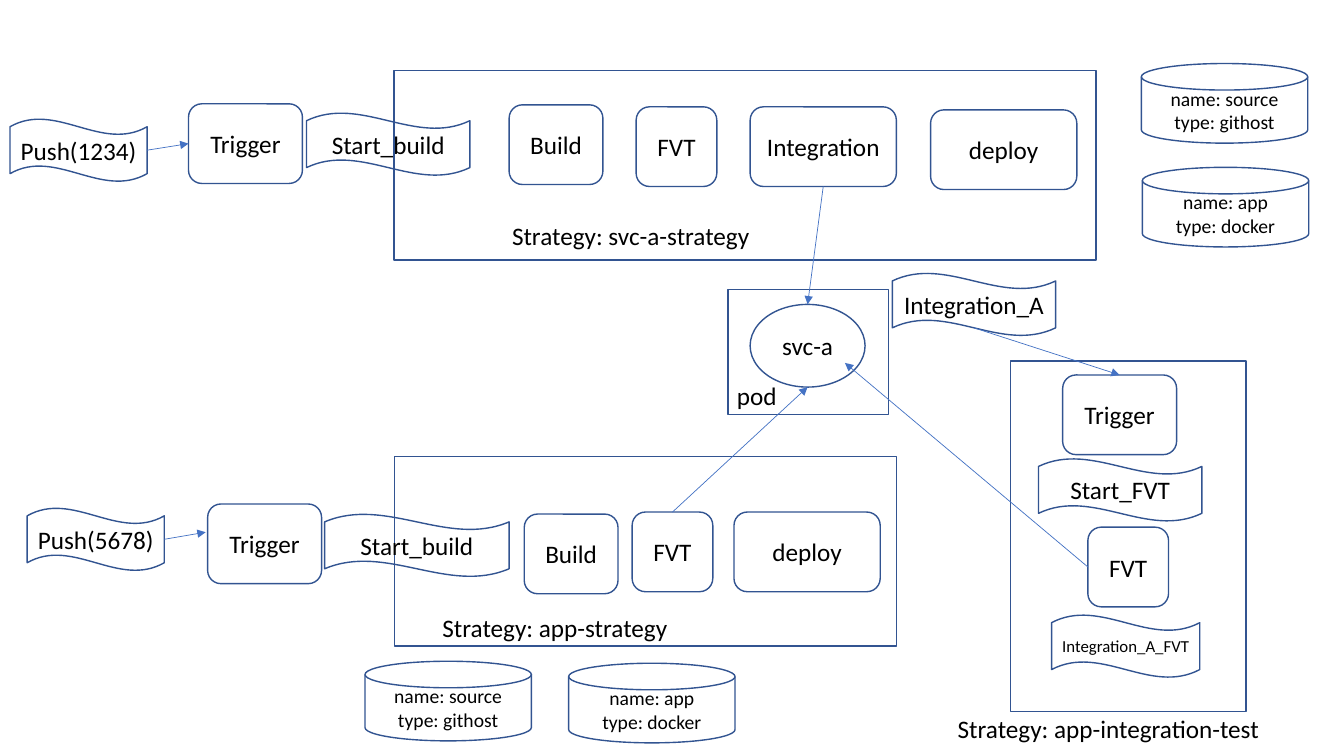
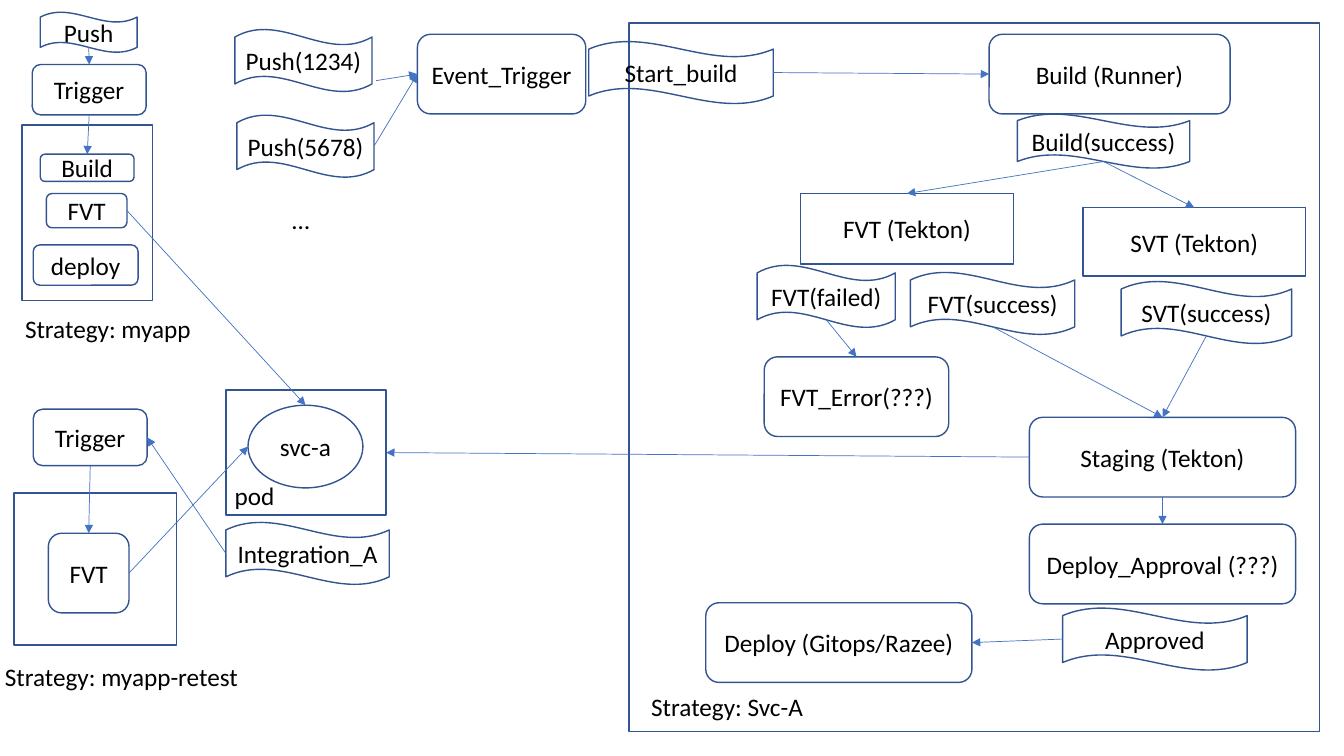
import dataclasses

import lxml.etree
import pptx
import pptx.dml.color
import pptx.enum.shapes
import pptx.enum.text
import pptx.oxml.ns
import pptx.util

Inches = pptx.util.Inches
Kind = pptx.enum.shapes.MSO_SHAPE


@dataclasses.dataclass(frozen=True)
class Theme:
    font: str = "Calibri"
    text: str = "000000"
    outline: str = "325491"
    arrow: str = "4472C4"
    body_size: float = 18
    store_size: float = 14
    small_size: float = 12
    outline_width: float = 1
    arrow_width: float = 0.5


class Diagram:
    """Draw pipeline elements in one style on the current slide."""

    sides = {"top": 0, "left": 1, "bottom": 2, "right": 3}

    def __init__(self, presentation, theme):
        self.presentation = presentation
        self.theme = theme
        self.slide = None

    def new_slide(self):
        layout = self.presentation.slide_layouts[6]
        self.slide = self.presentation.slides.add_slide(layout)

    def color(self, value):
        return pptx.dml.color.RGBColor.from_string(value)

    def add_text(self, paragraph, text, size):
        run = paragraph.add_run()
        run.text = text
        run.font.name = self.theme.font
        run.font.size = pptx.util.Pt(size)
        run.font.color.rgb = self.color(self.theme.text)

    def box(self, kind, left, top, width, height, lines=(), size=None):
        shape = self.slide.shapes.add_shape(
            kind, Inches(left), Inches(top), Inches(width), Inches(height))
        shape.shadow.inherit = False
        shape.fill.background()
        shape.line.color.rgb = self.color(self.theme.outline)
        shape.line.width = pptx.util.Pt(self.theme.outline_width)
        frame = shape.text_frame
        frame.margin_left = frame.margin_right = Inches(0.05)
        frame.vertical_anchor = pptx.enum.text.MSO_ANCHOR.MIDDLE
        for index, text in enumerate(lines):
            paragraph = frame.add_paragraph() if index else frame.paragraphs[0]
            paragraph.alignment = pptx.enum.text.PP_ALIGN.CENTER
            self.add_text(paragraph, text, size or self.theme.body_size)
        return shape

    def frame(self, left, top, width, height):
        return self.box(Kind.RECTANGLE, left, top, width, height)

    def step(self, text, left, top, width, height=0.79):
        return self.box(Kind.ROUNDED_RECTANGLE, left, top, width, height, [text])

    def task(self, text, left, top, width, height):
        return self.box(Kind.RECTANGLE, left, top, width, height, [text])

    def event(self, text, left, top, width, height=0.62, size=None):
        return self.box(Kind.WAVE, left, top, width, height, [text], size)

    def store(self, name, store_type, left, top):
        lines = [f"name: {name}", f"type: {store_type}"]
        return self.box(Kind.FLOWCHART_MAGNETIC_DISK, left, top, 1.65, 0.79,
                        lines, self.theme.store_size)

    def label(self, text, left, top, width):
        shape = self.slide.shapes.add_textbox(
            Inches(left), Inches(top), Inches(width), Inches(0.4))
        shape.text_frame.word_wrap = False
        shape.text_frame.auto_size = pptx.enum.text.MSO_AUTO_SIZE.SHAPE_TO_FIT_TEXT
        self.add_text(shape.text_frame.paragraphs[0], text, self.theme.body_size)

    def pod(self, left, top):
        frame = self.frame(left, top, 1.59, 1.24)
        service = self.box(Kind.OVAL, left + 0.22, top + 0.15, 1.14, 0.82, ["svc-a"])
        self.label("pod", left - 0.01, top + 0.85, 0.6)
        return frame, service

    def point(self, end):
        target, side = end
        if side not in self.sides:
            return Inches(target), Inches(side)
        wave = target.auto_shape_type == Kind.WAVE
        dip = int(target.height * 0.125) if wave else 0
        middle_x = target.left + target.width // 2
        middle_y = target.top + target.height // 2
        return {
            "top": (middle_x, target.top + dip),
            "left": (target.left, middle_y),
            "bottom": (middle_x, target.top + target.height - dip),
            "right": (target.left + target.width, middle_y),
        }[side]

    def glue(self, connect, end):
        target, side = end
        if side in self.sides and target.auto_shape_type != Kind.OVAL:
            connect(target, self.sides[side])

    def arrow(self, start, end):
        begin_point, end_point = self.point(start), self.point(end)
        connector = self.slide.shapes.add_connector(
            pptx.enum.shapes.MSO_CONNECTOR.STRAIGHT, *begin_point, *end_point)
        self.glue(connector.begin_connect, start)
        self.glue(connector.end_connect, end)
        connector.begin_x, connector.begin_y = begin_point
        connector.end_x, connector.end_y = end_point
        connector.line.color.rgb = self.color(self.theme.arrow)
        connector.line.width = pptx.util.Pt(self.theme.arrow_width)
        qn = pptx.oxml.ns.qn
        properties = connector._element.spPr
        lxml.etree.SubElement(
            properties.find(qn("a:ln")), qn("a:tailEnd"), type="triangle")
        lxml.etree.SubElement(properties, qn("a:effectLst"))


def build_strategies(diagram):
    diagram.new_slide()

    diagram.frame(3.91, 0.7, 6.96, 1.88)
    diagram.label("Strategy: svc-a-strategy", 4.98, 2.14, 2.58)
    push = diagram.event("Push(1234)", 0.1, 1.18, 1.36)
    trigger = diagram.step("Trigger", 1.87, 1.03, 1.13)
    diagram.event("Start_build", 3.04, 1.12, 1.62)
    diagram.step("Build", 5.05, 1.04, 0.93)
    diagram.step("FVT", 6.31, 1.06, 0.8)
    integration = diagram.step("Integration", 7.44, 1.06, 1.45)
    diagram.step("deploy", 9.23, 1.09, 1.45)
    diagram.store("source", "githost", 11.32, 0.63)
    diagram.store("app", "docker", 11.33, 1.66)

    diagram.frame(3.91, 4.53, 4.98, 1.88)
    diagram.label("Strategy: app-strategy", 4.29, 6.03, 2.46)
    app_push = diagram.event("Push(5678)", 0.27, 5.04, 1.36)
    diagram.step("Trigger", 2.06, 5, 1.13)
    diagram.event("Start_build", 3.22, 5.1, 1.83)
    diagram.step("Build", 5.2, 5.1, 0.93)
    app_fvt = diagram.step("FVT", 6.27, 5.08, 0.8)
    diagram.step("deploy", 7.28, 5.08, 1.45)
    diagram.store("source", "githost", 3.62, 6.56)
    diagram.store("app", "docker", 5.64, 6.58)

    _, service = diagram.pod(7.22, 2.87)
    integration_event = diagram.event("Integration_A", 8.85, 2.71, 1.62)

    diagram.frame(10.02, 3.58, 2.34, 3.48)
    diagram.label("Strategy: app-integration-test", 9.4, 7.03, 3.22)
    test_trigger = diagram.step("Trigger", 10.54, 3.72, 1.13)
    diagram.event("Start_FVT", 10.3, 4.55, 1.62)
    test_fvt = diagram.step("FVT", 10.79, 5.23, 0.8)
    diagram.event("Integration_A_FVT", 10.43, 6.1, 1.47,
                  size=diagram.theme.small_size)

    for start, end in (
        ((push, "right"), (trigger, "left")),
        ((app_push, "right"), (2.04, 5.28)),
        ((integration, "bottom"), (service, "top")),
        ((app_fvt, "top"), (service, "bottom")),
        ((integration_event, "bottom"), (test_trigger, "top")),
        ((test_fvt, "left"), (8.38, 3.6)),
    ):
        diagram.arrow(start, end)


def build_event_flow(diagram):
    diagram.new_slide()

    diagram.frame(0.22, 1.24, 1.29, 1.74)
    diagram.label("Strategy: myapp", 0.15, 3.06, 1.86)
    push = diagram.event("Push", 0.4, 0.12, 0.96, 0.4)
    trigger = diagram.step("Trigger", 0.32, 0.64, 1.13, 0.5)
    app_build = diagram.step("Build", 0.4, 1.53, 0.93, 0.27)
    app_fvt = diagram.step("FVT", 0.46, 1.92, 0.8, 0.34)
    diagram.step("deploy", 0.33, 2.43, 1.04, 0.4)

    diagram.frame(0.14, 4.89, 1.61, 1.51)
    diagram.label("Strategy: myapp-retest", -0.05, 6.51, 2.54)
    retest_trigger = diagram.step("Trigger", 0.33, 4.06, 1.13, 0.56)
    retest_fvt = diagram.step("FVT", 0.48, 5.29, 0.8)
    pod, service = diagram.pod(2.24, 3.87)
    integration_event = diagram.event("Integration_A", 2.24, 5.18, 1.62)

    diagram.event("Push(1234)", 2.33, 0.29, 1.36)
    second_push = diagram.event("Push(5678)", 2.35, 1.14, 1.36)
    diagram.label("…", 2.8, 1.98, 0.38)
    event_trigger = diagram.step("Event_Trigger", 4.14, 0.34, 1.67)

    diagram.frame(6.24, 0.23, 6.85, 7.03)
    diagram.label("Strategy: Svc-A", 6.36, 6.81, 1.72)
    start_build = diagram.event("Start_build", 5.84, 0.41, 1.83)
    build = diagram.step("Build (Runner)", 9.81, 0.34, 2.39)
    build_success = diagram.event("Build(success)", 10.09, 1.13, 1.71, 0.54)
    fvt = diagram.task("FVT (Tekton)", 7.94, 1.92, 2.11, 0.7)
    svt = diagram.task("SVT (Tekton)", 10.74, 2.06, 2.21, 0.68)
    fvt_failed = diagram.event("FVT(failed)", 7.51, 2.63, 1.37)
    fvt_success = diagram.event("FVT(success)", 9.03, 2.7, 1.63)
    svt_success = diagram.event("SVT(success)", 11.12, 2.79, 1.69)
    fvt_error = diagram.step("FVT_Error(???)", 7.58, 3.54, 1.83)
    staging = diagram.step("Staging (Tekton)", 10.21, 4.14, 2.64)
    approval = diagram.step("Deploy_Approval (???)", 10.21, 5.2, 2.64)
    approved = diagram.event("Approved", 10.54, 6.03, 1.83)
    deploy = diagram.step("Deploy (Gitops/Razee)", 7, 5.98, 2.64)

    for start, end in (
        ((push, "bottom"), (trigger, "top")),
        ((trigger, "bottom"), (app_build, "top")),
        ((app_fvt, "right"), (service, "top")),
        ((retest_trigger, "bottom"), (retest_fvt, "top")),
        ((retest_fvt, "right"), (service, "left")),
        ((integration_event, "left"), (retest_trigger, "right")),
        ((3.73, 0.8), (event_trigger, "left")),
        ((second_push, "right"), (event_trigger, "left")),
        ((start_build, "right"), (build, "left")),
        ((build_success, "bottom"), (fvt, "top")),
        ((build_success, "bottom"), (svt, "top")),
        ((fvt_failed, "bottom"), (fvt_error, "top")),
        ((fvt_success, "bottom"), (staging, "top")),
        ((svt_success, "bottom"), (staging, "top")),
        ((staging, "left"), (pod, "right")),
        ((staging, "bottom"), (approval, "top")),
        ((approved, "left"), (deploy, "right")),
    ):
        diagram.arrow(start, end)


def main():
    presentation = pptx.Presentation()
    presentation.slide_width = Inches(13.33)
    presentation.slide_height = Inches(7.5)
    diagram = Diagram(presentation, Theme())
    build_strategies(diagram)
    build_event_flow(diagram)
    presentation.save("out.pptx")


if __name__ == "__main__":
    main()
